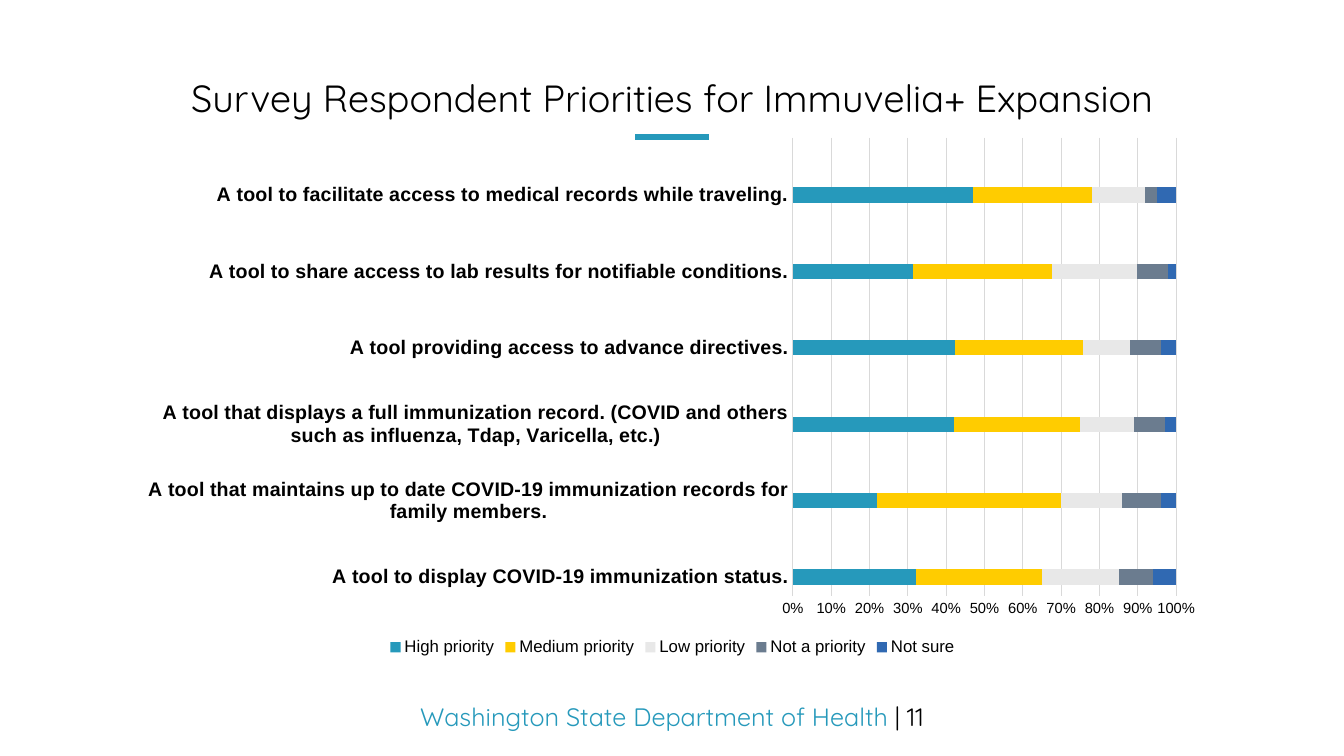
import lxml.etree
import pptx
import pptx.chart.data
import pptx.dml.color
import pptx.enum.chart
import pptx.enum.shapes
import pptx.enum.text
import pptx.oxml
import pptx.oxml.ns
import pptx.util

Inches = pptx.util.Inches
Pt = pptx.util.Pt
RGBColor = pptx.dml.color.RGBColor

TEAL = RGBColor(0x26, 0x99, 0xBB)
YELLOW = RGBColor(0xFF, 0xCC, 0x00)
PALE_GREY = RGBColor(0xE8, 0xE8, 0xE8)
SLATE = RGBColor(0x6B, 0x7C, 0x8F)
BLUE = RGBColor(0x30, 0x69, 0xB2)
GRID_GREY = RGBColor(0xD9, 0xD9, 0xD9)
BLACK = RGBColor(0, 0, 0)

SLIDE_WIDTH = 13.33
HEADING_FONT = "Quicksand"
CHART_FONT = "Arial"

TOOLS = [
    "A tool to display COVID-19 immunization status.",
    "A tool that maintains up to date COVID-19 immunization records for family members.",
    "A tool that displays a full immunization record. (COVID and others such as influenza, Tdap, Varicella, etc.)",
    "A tool providing access to advance directives.",
    "A tool to share access to lab results for notifiable conditions.",
    "A tool to facilitate access to medical records while traveling.",
]
PRIORITIES = [
    ("High priority", TEAL, [32, 22, 42, 42, 31, 47]),
    ("Medium priority", YELLOW, [33, 48, 33, 33, 36, 31]),
    ("Low priority", PALE_GREY, [20, 16, 14, 12, 22, 14]),
    ("Not a priority", SLATE, [9, 10, 8, 8, 8, 3]),
    ("Not sure", BLUE, [6, 4, 3, 4, 2, 5]),
]


def style_font(font, name, size, color, bold=False):
    """Set the typeface, size, colour and weight of a font."""
    font.name = name
    font.size = Pt(size)
    font.color.rgb = color
    font.bold = bold


def add_centred_line(slide, top, height, size, parts, line_spacing=1.0):
    """Add a full-width centred line of text made of (text, colour) parts."""
    box = slide.shapes.add_textbox(0, Inches(top), Inches(SLIDE_WIDTH), Inches(height))
    frame = box.text_frame
    frame.word_wrap = True
    frame.vertical_anchor = pptx.enum.text.MSO_ANCHOR.MIDDLE
    paragraph = frame.paragraphs[0]
    paragraph.alignment = pptx.enum.text.PP_ALIGN.CENTER
    paragraph.line_spacing = line_spacing
    for text, color in parts:
        run = paragraph.add_run()
        run.text = text
        style_font(run.font, HEADING_FONT, size, color)


def add_title_rule(slide):
    """Add the short accent line under the title."""
    rule = slide.shapes.add_connector(
        pptx.enum.shapes.MSO_CONNECTOR.STRAIGHT,
        Inches(6.3), Inches(1.36), Inches(7.03), Inches(1.36))
    rule.line.color.rgb = TEAL
    rule.line.width = Pt(4)
    properties = rule._element.spPr
    lxml.etree.SubElement(properties, pptx.oxml.ns.qn("a:effectLst"))


def spaced(items, gap):
    """Follow each item with a gap entry."""
    return [entry for item in items for entry in (item, gap)]


def place_plot(chart, x, y, width, height):
    """Fix the inner plot area as fractions of the chart frame."""
    plot_area = chart._chartSpace.chart.plotArea
    for layout in plot_area.findall(pptx.oxml.ns.qn("c:layout")):
        plot_area.remove(layout)
    fields = [("layoutTarget", "inner"), ("xMode", "edge"), ("yMode", "edge"),
              ("x", x), ("y", y), ("w", width), ("h", height)]
    body = "".join(f'<c:{name} val="{value}"/>' for name, value in fields)
    plot_area.insert(0, pptx.oxml.parse_xml(
        f'<c:layout {pptx.oxml.ns.nsdecls("c")}>'
        f'<c:manualLayout>{body}</c:manualLayout></c:layout>'))


def style_axes(chart):
    """Format the category axis, the percentage axis and its gridlines."""
    category_axis, value_axis = chart.category_axis, chart.value_axis
    for axis in (category_axis, value_axis):
        axis.major_tick_mark = pptx.enum.chart.XL_TICK_MARK.NONE
        axis.minor_tick_mark = pptx.enum.chart.XL_TICK_MARK.NONE
    style_font(category_axis.tick_labels.font, CHART_FONT, 14, BLACK, True)
    style_font(value_axis.tick_labels.font, CHART_FONT, 10.5, BLACK)
    value_axis.minimum_scale = 0
    value_axis.maximum_scale = 1
    value_axis.major_unit = 0.1
    value_axis.tick_labels.number_format = "0%"
    value_axis.tick_labels.number_format_is_linked = False
    value_axis.format.line.fill.background()
    value_axis.has_major_gridlines = True
    for line in (category_axis.format.line, value_axis.major_gridlines.format.line):
        line.color.rgb = GRID_GREY
        line.width = Pt(0.75)


def add_priority_chart(slide):
    """Add the stacked bar chart of priorities for each tool."""
    data = pptx.chart.data.CategoryChartData()
    data.categories = spaced(TOOLS, "")
    for name, _, values in PRIORITIES:
        data.add_series(name, spaced(values, None))
    chart = slide.shapes.add_chart(
        pptx.enum.chart.XL_CHART_TYPE.BAR_STACKED_100,
        Inches(1.24), Inches(1.26), Inches(10.86), Inches(5.29), data).chart
    style_font(chart.font, CHART_FONT, 10, BLACK)
    chart.has_title = False
    plot = chart.plots[0]
    plot.gap_width = 150
    plot.overlap = 100
    plot.vary_by_categories = False
    for series, (_, color, _) in zip(plot.series, PRIORITIES):
        series.format.fill.solid()
        series.format.fill.fore_color.rgb = color
    chart.has_legend = True
    chart.legend.position = pptx.enum.chart.XL_LEGEND_POSITION.BOTTOM
    chart.legend.include_in_layout = False
    style_font(chart.legend.font, CHART_FONT, 12, BLACK)
    style_axes(chart)
    place_plot(chart, 0.61, 0.02, 0.35, 0.86)


def main():
    """Build and save the slide."""
    presentation = pptx.Presentation()
    presentation.slide_width = Inches(SLIDE_WIDTH)
    presentation.slide_height = Inches(7.5)
    slide = presentation.slides.add_slide(presentation.slide_layouts[6])
    add_title_rule(slide)
    add_centred_line(slide, 6.91, 0.4, 18,
                     [("Washington State Department of Health ", TEAL), ("| 11", BLACK)])
    add_centred_line(slide, 0.73, 0.53, 27,
                     [("Survey Respondent Priorities for Immuvelia+ Expansion", BLACK)], 0.9)
    add_priority_chart(slide)
    presentation.save("out.pptx")


if __name__ == "__main__":
    main()
